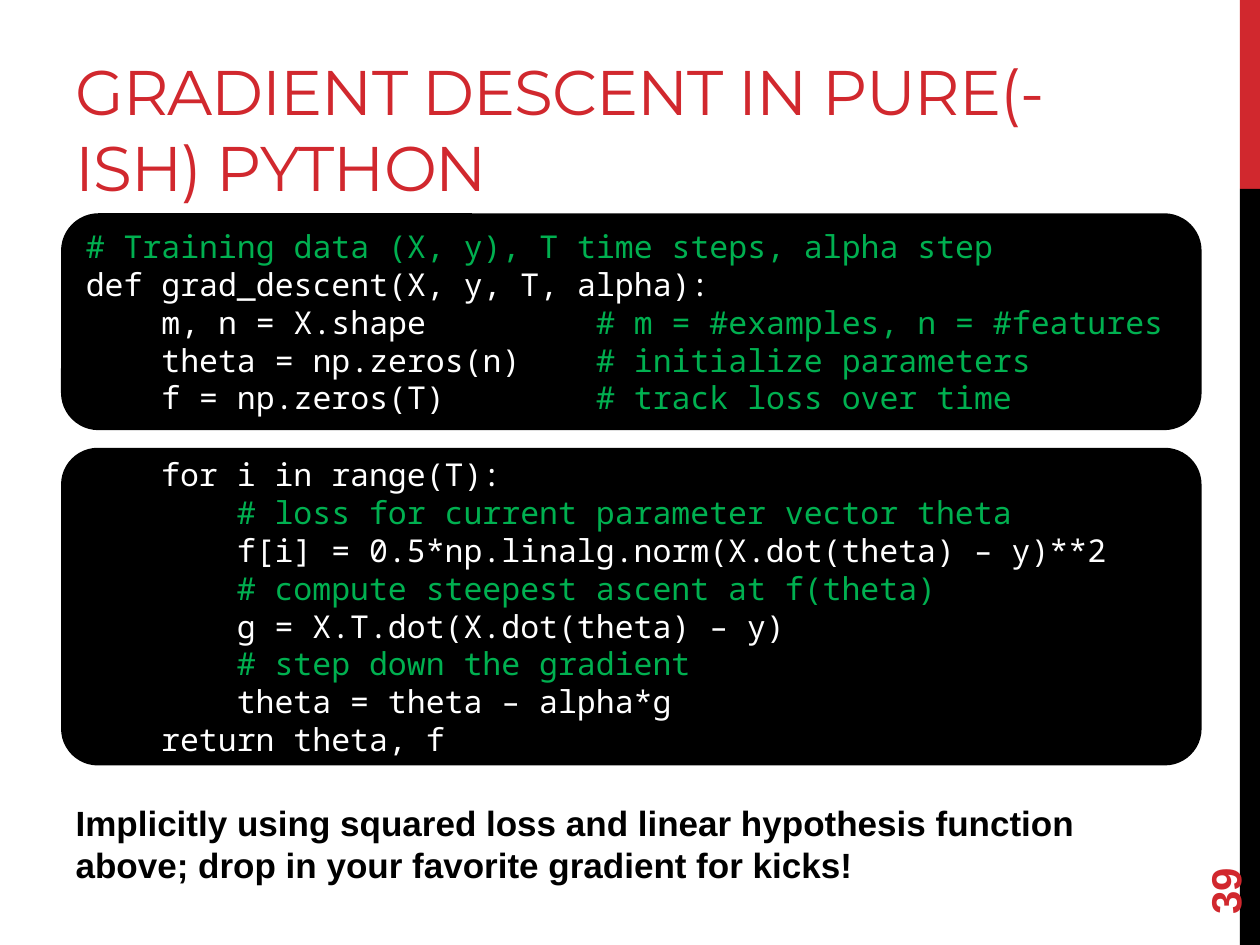
import pptx
import pptx.util
import pptx.dml.color
import pptx.enum.shapes
import pptx.enum.text
import pptx.oxml

Pt = pptx.util.Pt
MSO_SHAPE = pptx.enum.shapes.MSO_SHAPE
ANCHOR = pptx.enum.text.MSO_ANCHOR
ALIGN = pptx.enum.text.PP_ALIGN

# Content
TITLE = "GRADIENT DESCENT IN PURE(-ISH) PYTHON"
NOTE = ("Implicitly using squared loss and linear hypothesis function above; "
        "drop in your favorite gradient for kicks!")
PAGE = "39"
SETUP_CODE = """\
# Training data (X, y), T time steps, alpha step
def grad_descent(X, y, T, alpha):
    m, n = X.shape         # m = #examples, n = #features
    theta = np.zeros(n)    # initialize parameters
    f = np.zeros(T)        # track loss over time"""
LOOP_CODE = """\
    for i in range(T):
        # loss for current parameter vector theta
        f[i] = 0.5*np.linalg.norm(X.dot(theta) – y)**2
        # compute steepest ascent at f(theta)
        g = X.T.dot(X.dot(theta) – y)
        # step down the gradient
        theta = theta – alpha*g
    return theta, f"""

COLORS = {"red": "D1282E", "black": "000000", "white": "FFFFFF", "comment": "00B050"}

# Layout in points
W, H = 720, 540
LEFT = 36
BAND_W, BAND_SPLIT = 11.5, 108
CODE_W = 649.5
# code, top, height, corner ratio
CODE_BOXES = [(SETUP_CODE, 123, 121.7, 0.1667), (LOOP_CODE, 257, 179.3, 0.111)]


def rgb(name):
    return pptx.dml.color.RGBColor.from_string(COLORS[name])


def place(sp, x, y, w, h):
    sp.left, sp.top, sp.width, sp.height = Pt(x), Pt(y), Pt(w), Pt(h)


def add_block(s, shape, x, y, w, h, color):
    sp = s.shapes.add_shape(shape, Pt(x), Pt(y), Pt(w), Pt(h))
    sp.shadow.inherit = False
    sp.fill.solid()
    sp.fill.fore_color.rgb = rgb(color)
    sp.line.fill.background()
    return sp


def set_frame(tf, anchor):
    tf.word_wrap = True
    tf.auto_size = pptx.enum.text.MSO_AUTO_SIZE.NONE
    tf.vertical_anchor = anchor


def add_run(p, text, font, size, color, bold=False):
    p.alignment = ALIGN.LEFT
    r = p.add_run()
    r.text = text
    r.font.name, r.font.size, r.font.bold = font, Pt(size), bold
    r.font.color.rgb = rgb(color)
    return r


def add_code(s, code, top, height, corner):
    sp = add_block(s, MSO_SHAPE.ROUNDED_RECTANGLE, LEFT, top, CODE_W, height, "black")
    sp.adjustments[0] = corner
    sp.line.color.rgb = rgb("black")
    sp.line.width = Pt(2.25)
    tf = sp.text_frame
    set_frame(tf, ANCHOR.MIDDLE)
    for i, line in enumerate(code.split("\n")):
        p = tf.add_paragraph() if i else tf.paragraphs[0]
        statement, mark, comment = line.partition("#")
        for text, color in ((statement, "white"), (mark + comment, "comment")):
            if text:
                add_run(p, text, "Noto Sans Mono", 18, color)


prs = pptx.Presentation()
prs.slide_width, prs.slide_height = Pt(W), Pt(H)
s = prs.slides.add_slide(prs.slide_layouts[1])

# Side band
for top, bottom, color in ((0, BAND_SPLIT, "red"), (BAND_SPLIT, H, "black")):
    add_block(s, MSO_SHAPE.RECTANGLE, W - BAND_W, top, BAND_W, bottom - top, color)

# Title
title = s.shapes.title
place(title, LEFT, 12, 601, 108)
set_frame(title.text_frame, ANCHOR.BOTTOM)
r = add_run(title.text_frame.paragraphs[0], TITLE, "Montserrat", 36, "red")
r.font._element.set("spc", "-60")

# Closing note
body = s.placeholders[1]
place(body, LEFT, 454.5, 600, 56)
set_frame(body.text_frame, ANCHOR.TOP)
p = body.text_frame.paragraphs[0]
pPr = p._p.get_or_add_pPr()
pPr.set("marL", "0")
pPr.set("indent", "0")
pPr.append(pptx.oxml.parse_xml(
    '<a:buNone xmlns:a="http://schemas.openxmlformats.org/drawingml/2006/main"/>'))
p.space_before, p.space_after = Pt(0), Pt(6)
add_run(p, NOTE, "Arial", 20, "black", bold=True)

# Page number, turned to read upwards
num = s.shapes.add_textbox(Pt(648), Pt(463.5), Pt(103.5), Pt(29))
num.rotation = 270
set_frame(num.text_frame, ANCHOR.MIDDLE)
add_run(num.text_frame.paragraphs[0], PAGE, "Arial", 24, "red", bold=True)

# Code boxes
for box in CODE_BOXES:
    add_code(s, *box)

prs.save("out.pptx")
